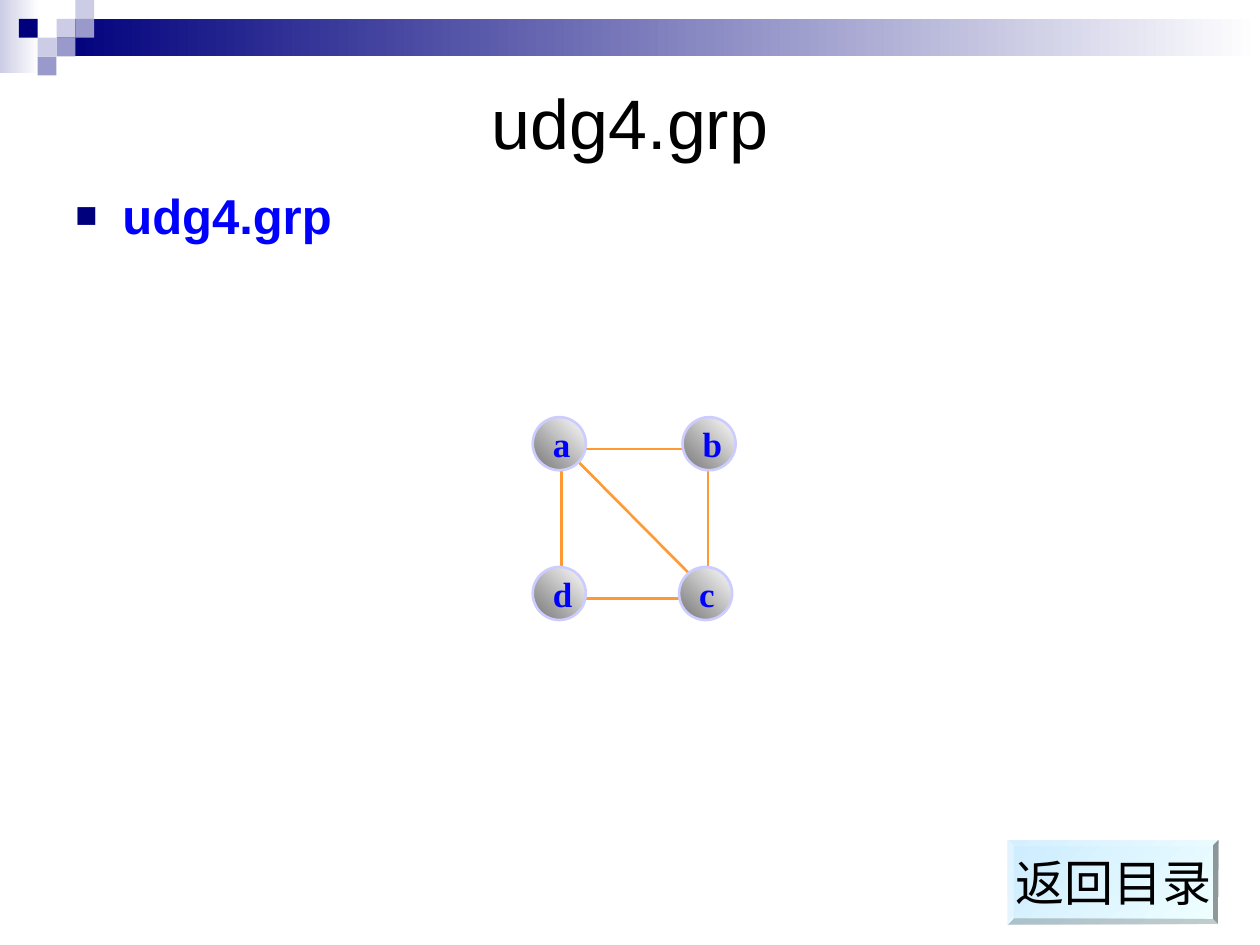
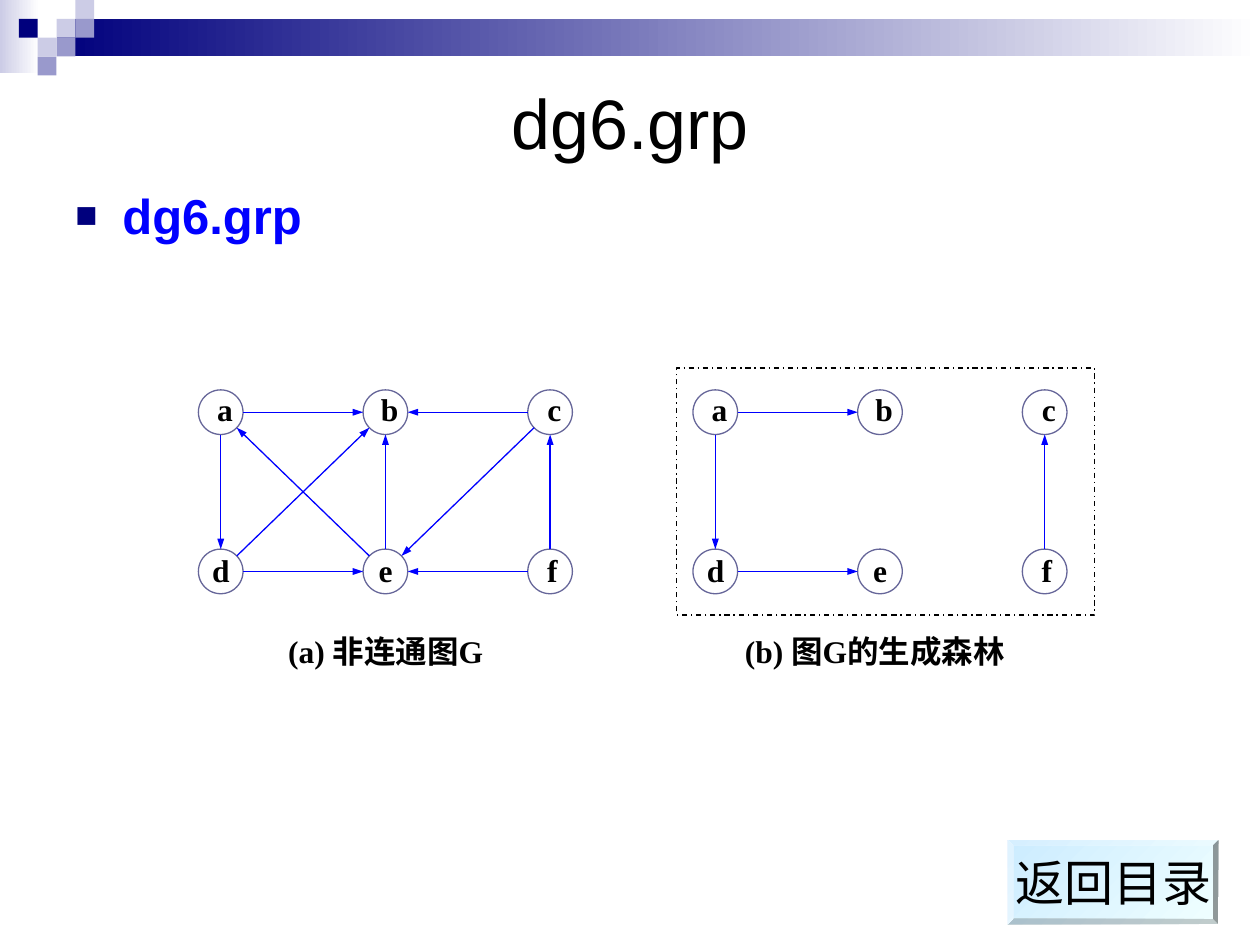
import math

import pptx
import pptx.dml.color
import pptx.enum.dml
import pptx.enum.shapes
import pptx.enum.text
import pptx.oxml
import pptx.oxml.ns
import pptx.util

Cm = pptx.util.Cm
Pt = pptx.util.Pt
SHAPE = pptx.enum.shapes.MSO_SHAPE
ALIGN = pptx.enum.text.PP_ALIGN
ANCHOR = pptx.enum.text.MSO_ANCHOR

BLACK, WHITE, BLUE, NAVY = "000000", "FFFFFF", "0000FF", "00007D"
PALE, LILAC = "CCCCE6", "9999CC"
SANS, SERIF = "Arial", "Times New Roman"
INSET = (0.25, 0.13)
TILE = 0.38


def rgb(value):
    """Turn a hex string into a colour."""
    return pptx.dml.color.RGBColor.from_string(value)


def paint(shape, fill=None, line=None, width=0.74):
    """Set fill (none, hex, or start, end, counter-clockwise angle) and line."""
    shape.shadow.inherit = False
    if fill is None:
        shape.fill.background()
    elif isinstance(fill, str):
        shape.fill.solid()
        shape.fill.fore_color.rgb = rgb(fill)
    else:
        start, end, angle = fill
        shape.fill.gradient()
        shape.fill.gradient_angle = angle
        for stop, value in zip(shape.fill.gradient_stops, (start, end)):
            stop.color.rgb = rgb(value)
    if line is None:
        shape.line.fill.background()
    else:
        shape.line.color.rgb = rgb(line)
        shape.line.width = Pt(width)


def add_shape(shapes, kind, box, fill=None, line=None, width=0.74):
    """Add a painted preset shape in a box given in centimetres."""
    shape = shapes.add_shape(kind, *map(Cm, box))
    paint(shape, fill, line, width)
    return shape


def write(shape, text, size=18, colour=BLACK, font=SANS, bold=False,
          align=ALIGN.LEFT, anchor=ANCHOR.TOP, inset=INSET, wrap=True):
    """Put one formatted paragraph in a shape and return it."""
    frame = shape.text_frame
    frame.word_wrap = wrap
    frame.vertical_anchor = anchor
    frame.margin_left = frame.margin_right = Cm(inset[0])
    frame.margin_top = frame.margin_bottom = Cm(inset[1])
    para = frame.paragraphs[0]
    para.alignment = align
    span = para.add_run()
    span.text = text
    span.font.size = Pt(size)
    span.font.name = font
    span.font.bold = bold
    span.font.color.rgb = rgb(colour)
    return para


def add_text(shapes, box, text, **style):
    """Add a text box in a box given in centimetres."""
    return write(shapes.add_textbox(*map(Cm, box)), text, **style)


def add_line(shapes, start, end, colour, width, arrow=False):
    """Draw a straight line, with an arrowhead at its end if asked."""
    line = shapes.add_connector(pptx.enum.shapes.MSO_CONNECTOR.STRAIGHT,
                                *map(Cm, (*start, *end)))
    line.line.color.rgb = rgb(colour)
    line.line.width = Pt(width)
    props = line.element.spPr
    if arrow:
        head = pptx.oxml.parse_xml(
            f'<a:tailEnd {pptx.oxml.ns.nsdecls("a")} type="triangle" w="sm" len="med"/>')
        props.find(pptx.oxml.ns.qn("a:ln")).append(head)
    props.append(pptx.oxml.parse_xml(f'<a:effectLst {pptx.oxml.ns.nsdecls("a")}/>'))


def add_bullet(para):
    """Give a paragraph a hanging square bullet."""
    props = para._p.get_or_add_pPr()
    props.set("marL", str(Cm(0.95)))
    props.set("indent", str(-Cm(0.95)))
    space = pptx.oxml.ns.nsdecls("a")
    for xml in (f'<a:buClr {space}><a:srgbClr val="{NAVY}"/></a:buClr>',
                f'<a:buSzPct {space} val="75000"/>',
                f'<a:buFont {space} typeface="{SANS}"/>',
                f'<a:buChar {space} char="■"/>'):
        props.append(pptx.oxml.parse_xml(xml))


def header_band(shapes):
    """Draw the fading band and the staircase of tiles at the top."""
    add_shape(shapes, SHAPE.RECTANGLE, (0, 0, 0.79, 1.48), (WHITE, PALE, 180))
    add_shape(shapes, SHAPE.RECTANGLE, (1.14, TILE, 24.26, 0.76), (WHITE, NAVY, 180))
    tiles = ((3, 1, PALE), (4, 0, PALE), (4, 1, LILAC), (2, 2, PALE),
             (1, 1, NAVY), (3, 2, LILAC), (2, 3, LILAC))
    for column, row, colour in tiles:
        box = (column * TILE, row * TILE, TILE, TILE)
        add_shape(shapes, SHAPE.RECTANGLE, box, colour)


def contents_button(shapes, box):
    """Draw the bevelled button that leads back to the contents."""
    button = add_shape(shapes, SHAPE.BEVEL, box, ("F0FFFF", "CCECFF", 135))
    button.adjustments[0] = 0.0625
    write(button, "返回目录", size=28, align=ALIGN.CENTER,
          anchor=ANCHOR.MIDDLE, wrap=False)


def start_page(deck, name):
    """Add a page with band, title, bulleted file name and button."""
    page = deck.slides.add_slide(deck.slide_layouts[6])
    header_band(page.shapes.add_group_shape().shapes)
    add_text(page.shapes, (1.27, 1.27, 22.86, 2.34), name, size=40,
             align=ALIGN.CENTER, anchor=ANCHOR.MIDDLE)
    para = add_text(page.shapes, (1.27, 3.61, 22.86, 13.54), name, size=28,
                    colour=BLUE, bold=True)
    para.space_before = Pt(7)
    add_bullet(para)
    contents_button(page.shapes, (20.32, 16.94, 4.24, 1.69))
    return page


def undirected_graph(shapes, left, top):
    """Draw four shaded nodes joined by orange edges."""
    size, step = 1.07, 3.02
    nodes = {"a": (0, 0), "b": (step, 0), "c": (2.95, step), "d": (0, step)}
    edges = (((1.07, 0.64), (3.07, 0.64)), ((1.07, 3.66), (3.07, 3.66)),
             ((0.58, 1.07), (0.58, 3.05)), ((3.2, 3.2), (0.81, 0.79)),
             ((3.53, 0.99), (3.53, 3.0)))
    for edge in edges:
        start, end = ((left + x, top + y) for x, y in edge)
        add_line(shapes, start, end, "FF9933", 1.5)
    for name, (x, y) in nodes.items():
        node = add_shape(shapes, SHAPE.OVAL, (left + x, top + y, size, size),
                         (WHITE, "767676", 225), "CCCCFF", 1.5)
        write(node, name, size=20, colour=BLUE, font=SERIF, bold=True,
              anchor=ANCHOR.MIDDLE, wrap=False)


def directed_graph(shapes, left, top, names, edges):
    """Draw the named nodes of a three by two grid and the arrows between them."""
    radius, column_step, row_step = 0.45, 3.32, 3.21
    centres = {}
    for name in names:
        row, column = divmod("abcdef".index(name), 3)
        x, y = left + column * column_step, top + row * row_step
        centres[name] = (x + radius, y + radius)
        add_shape(shapes, SHAPE.OVAL, (x, y, 2 * radius, 2 * radius), WHITE, "666699")
        shift = 0.23 if row == 0 else 0.19 if name == "f" else 0.15
        add_text(shapes, (x + shift, y + row * 0.03, 0.61, 0.74), name, font=SERIF,
                 bold=True, align=ALIGN.CENTER, inset=(0, 0))
    for source, target in edges.split():
        (x1, y1), (x2, y2) = centres[source], centres[target]
        part = radius / math.dist((x1, y1), (x2, y2))
        dx, dy = (x2 - x1) * part, (y2 - y1) * part
        add_line(shapes, (x1 + dx, y1 + dy), (x2 - dx, y2 - dy), BLUE, 0.74, arrow=True)


def caption(shapes, box, text):
    """Write a centred caption under a graph."""
    add_text(shapes, box, text, font=SERIF, bold=True, align=ALIGN.CENTER)


def undirected_page(deck):
    """Build the page of the undirected graph."""
    page = start_page(deck, "udg4.grp")
    undirected_graph(page.shapes.add_group_shape().shapes, 10.74, 8.41)


def directed_page(deck):
    """Build the page of the directed graph and its spanning forest."""
    page = start_page(deck, "dg6.grp")
    caption(page.shapes, (5.44, 12.62, 4.67, 1.12), "(a) 非连通图G")
    caption(page.shapes, (14.55, 12.62, 6.17, 1.12), "(b) 图G的生成森林")
    graphs = ((4, "abcdef", "ab ad de ea eb cb fe fc db ce"),
              (13.97, "abde", "ab ad de"),
              (13.97, "cf", "fc"))
    for left, names, edges in graphs:
        group = page.shapes.add_group_shape()
        directed_graph(group.shapes, left, 7.86, names, edges)
    frame = add_shape(page.shapes, SHAPE.RECTANGLE, (13.64, 7.42, 8.43, 4.98), line=BLACK)
    frame.line.dash_style = pptx.enum.dml.MSO_LINE.DASH_DOT


deck = pptx.Presentation()
deck.slide_width, deck.slide_height = Cm(25.4), Cm(19.05)
undirected_page(deck)
directed_page(deck)
deck.save("out.pptx")
